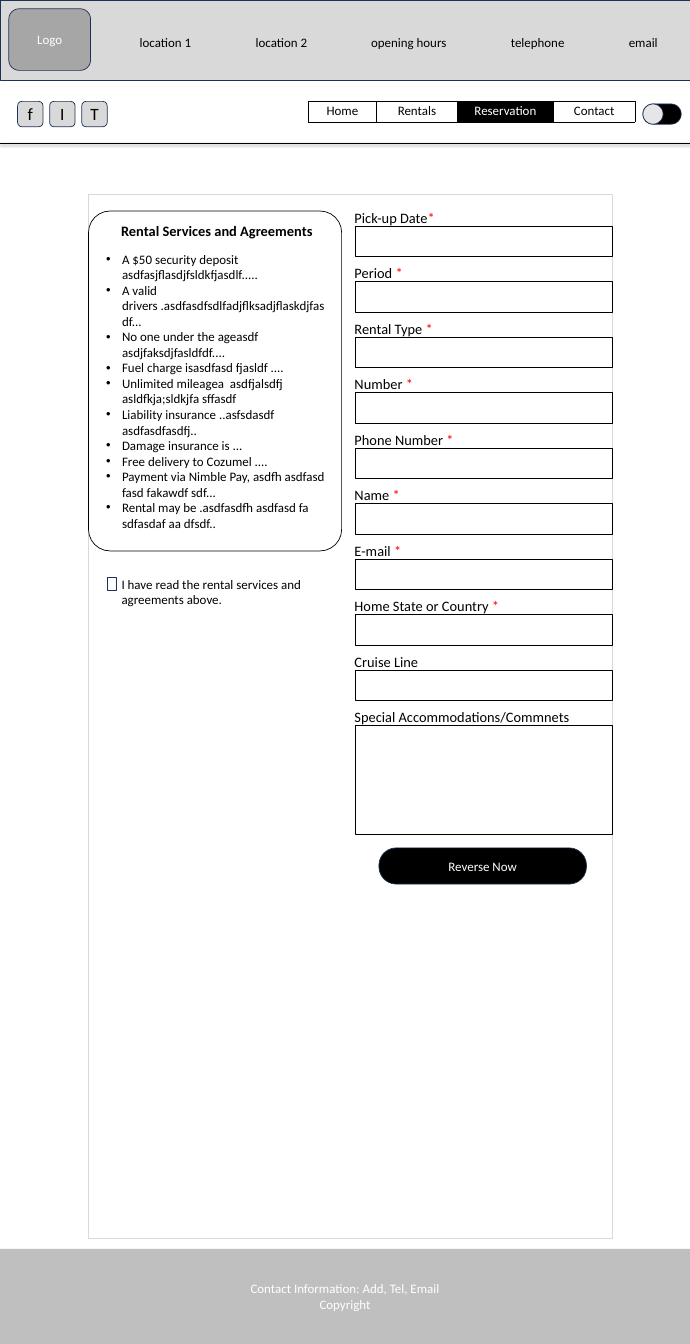
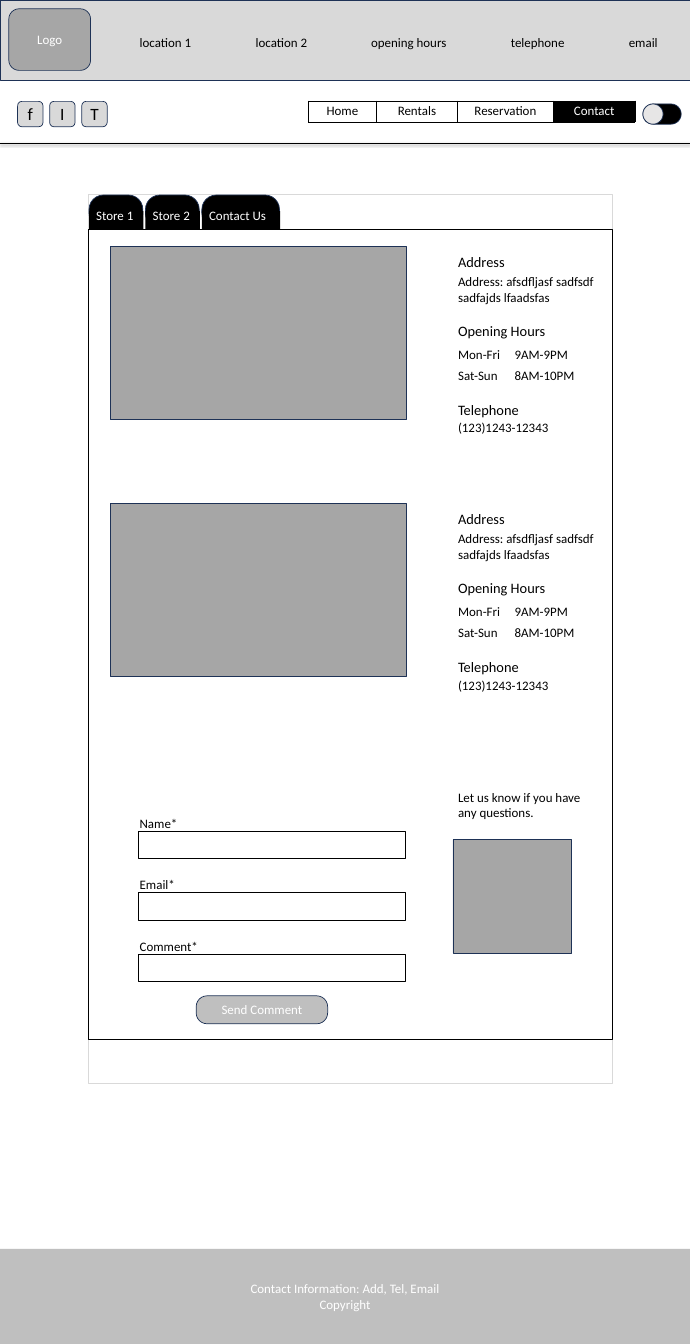
from dataclasses import dataclass

from lxml import etree
from pptx import Presentation
from pptx.dml.color import RGBColor
from pptx.enum import shapes, text
from pptx.oxml import parse_xml
from pptx.oxml.ns import nsdecls, qn
from pptx import util as u


@dataclass(frozen=True)
class Theme:
    font: str = "Calibri"
    body: int = 18
    heading: int = 20
    icon: int = 24
    ink: str = "000000"
    paper: str = "FFFFFF"
    outline: str = "1E3256"
    band: str = "D9D9D9"
    image: str = "A6A6A6"
    muted: str = "BFBFBF"
    knob: str = "E7E6E6"
    required: str = "FF0000"


@dataclass(frozen=True)
class Box:
    col: float
    row: float
    cols: float
    rows: float

    def inset(self, col, row, cols, rows):
        return Box(self.col + col, self.row + row, cols, rows)

    def place(self):
        return [u.Emu(round(n * CELL)) for n in (self.col, self.row, self.cols, self.rows)]


THEME = Theme()
CELL = u.Inches(0.1)
PAGE = Box(0, 0, 133.3, 259.8)
RECT = shapes.MSO_SHAPE.RECTANGLE
ROUND = shapes.MSO_SHAPE.ROUNDED_RECTANGLE
OVAL = shapes.MSO_SHAPE.OVAL
CENTER = text.PP_ALIGN.CENTER
LEFT = text.PP_ALIGN.LEFT

HEADER_ITEMS = [("location 1", 26, 12.1), ("location 2", 48.4, 12.1), ("opening hours", 70.7, 16.8),
                ("telephone", 97.7, 12.5), ("email", 120.5, 7.7)]
MENU = {"Home": 13.1, "Rentals": 15.7, "Reservation": 18.5, "Contact": 15.8}
AGREEMENTS = [
    "A $50 security deposit asdfasjflasdjfsldkfjasdlf.....",
    "A valid drivers .asdfasdfsdlfadjflksadjflaskdjfasdf...",
    "No one under the ageasdf asdjfaksdjfasldfdf....",
    "Fuel charge isasdfasd fjasldf ....",
    "Unlimited mileagea  asdfjalsdfj asldfkja;sldkjfa sffasdf",
    "Liability insurance ..asfsdasdf asdfasdfasdfj..",
    "Damage insurance is ...",
    "Free delivery to Cozumel ....",
    "Payment via Nimble Pay, asdfh asdfasd fasd fakawdf sdf...",
    "Rental may be .asdfasdfh asdfasd fa sdfasdaf aa dfsdf..",
]
BOOKING_FIELDS = [("Pick-up Date", "*", 17.7), ("Period", " *", 11.4), ("Rental Type", " *", 17.3),
                  ("Number", " *", 13.4), ("Phone Number", " *", 21.3), ("Name", " *", 10.9),
                  ("E-mail", " *", 11.1), ("Home State or Country", " *", 30.2),
                  ("Cruise Line", "", 14.4), ("Special Accommodations/Commnets", "", 44)]
HOURS = [("Mon-Fri", "9AM-9PM"), ("Sat-Sun", "8AM-10PM")]
TABS = [("Store 1", 10.4), ("Store 2", 10.4), ("Contact Us", 15)]
CONTACT_FIELDS = [("Name*", 9.4), ("Email*", 8.9), ("Comment*", 13.4)]


def rgb(color):
    return RGBColor.from_string(color)


def write(frame, paragraphs, size=THEME.body, color=THEME.ink, bold=False, align=LEFT, bullet=False):
    for index, content in enumerate(paragraphs):
        paragraph = frame.paragraphs[0] if index == 0 else frame.add_paragraph()
        paragraph.alignment = align
        for words, tint in [(content, color)] if isinstance(content, str) else content:
            run = paragraph.add_run()
            run.text = words
            run.font.name = THEME.font
            run.font.size = u.Pt(size)
            run.font.bold = bold
            run.font.color.rgb = rgb(tint)
        if bullet:
            properties = paragraph._p.get_or_add_pPr()
            properties.set("marL", str(u.Inches(0.31)))
            properties.set("indent", str(-u.Inches(0.31)))
            etree.SubElement(properties, qn("a:buFont"), typeface="Arial")
            etree.SubElement(properties, qn("a:buChar"), char="•")


def label(page, box, *paragraphs, wrap=False, **style):
    frame = page.add_textbox(*box.place()).text_frame
    frame.word_wrap = wrap
    frame.auto_size = text.MSO_AUTO_SIZE.SHAPE_TO_FIT_TEXT
    write(frame, paragraphs, **style)


def block(page, box, *paragraphs, kind=RECT, fill=None, line=THEME.outline, corner=None, **style):
    drawn = page.add_shape(kind, *box.place())
    drawn.shadow.inherit = False
    if corner is not None:
        drawn.adjustments[0] = corner
    if fill:
        drawn.fill.solid()
        drawn.fill.fore_color.rgb = rgb(fill)
    else:
        drawn.fill.background()
    if line:
        drawn.line.color.rgb = rgb(line)
        drawn.line.width = u.Pt(1)
    else:
        drawn.line.fill.background()
    write(drawn.text_frame, paragraphs, align=CENTER, **style)


def grid(page, box, widths, rows, **style):
    table = page.add_table(len(rows), len(widths), *box.place()).table
    table.first_row = table.horz_banding = False
    for column, width in zip(table.columns, widths):
        column.width = u.Emu(round(width * CELL))
    for row, contents in zip(table.rows, rows):
        row.height = u.Emu(round(box.rows / len(rows) * CELL))
        for cell, content in zip(row.cells, contents):
            cell.fill.background()
            write(cell.text_frame, [content], **style)
    return table


def outline_cell(cell):
    properties = cell._tc.get_or_add_tcPr()
    for index, side in enumerate(("lnL", "lnR", "lnT", "lnB")):
        properties.insert(index, parse_xml(
            f'<a:{side} {nsdecls("a")} w="12700"><a:solidFill>'
            f'<a:srgbClr val="{THEME.ink}"/></a:solidFill></a:{side}>'))


def header(page, box):
    block(page, box, fill=THEME.band)
    for words, col, cols in HEADER_ITEMS:
        label(page, box.inset(col, 6.1, cols, 4), words)
    block(page, box.inset(1.7, 1.7, 15.8, 11.9), "Logo", kind=ROUND, fill=THEME.image, color=THEME.paper)


def menu(page, box, current):
    entries = [[(words, THEME.paper if words == current else THEME.ink)] for words in MENU]
    table = grid(page, box, MENU.values(), [entries], align=CENTER)
    for cell, words in zip(table.rows[0].cells, MENU):
        cell.fill.solid()
        cell.fill.fore_color.rgb = rgb(THEME.ink if words == current else THEME.paper)
        outline_cell(cell)


def toolbar(page, box, current):
    menu(page, box.inset(59.6, 3.9, 63.1, 4.1), current)
    toggle = page.add_group_shape().shapes
    block(toggle, box.inset(124.2, 4.5, 7.4, 3.9), kind=ROUND, corner=0.5, fill=THEME.ink)
    block(toggle, box.inset(124.2, 4.5, 3.9, 3.9), kind=OVAL, fill=THEME.knob)
    social = page.add_group_shape().shapes
    for index, letter in enumerate("fIT"):
        block(social, box.inset(3.4 + 6.2 * index, 4, 4.9, 4.9), letter,
              kind=ROUND, fill=THEME.band, size=THEME.icon)
    left, top, width, height = box.place()
    rule = page.add_connector(shapes.MSO_CONNECTOR.STRAIGHT, left, top + height, left + width, top + height)
    rule.line.color.rgb = rgb(THEME.ink)
    rule.line.width = u.Pt(0.5)
    rule._element.spPr.append(parse_xml(
        f'<a:effectLst {nsdecls("a")}><a:outerShdw blurRad="50800" dist="38100" dir="5400000" algn="t" '
        f'rotWithShape="0"><a:srgbClr val="{THEME.ink}"><a:alpha val="40000"/></a:srgbClr>'
        '</a:outerShdw></a:effectLst>'))


def web_page(deck, current, content_rows):
    page = deck.slides.add_slide(deck.slide_layouts[6]).shapes
    toolbar(page, PAGE.inset(0, 15.6, PAGE.cols, 12), current)
    header(page, PAGE.inset(0, 0, PAGE.cols, 15.6))
    block(page, PAGE.inset(0, 241.4, PAGE.cols, 18.4), "Contact Information: Add, Tel, Email", "Copyright",
          fill=THEME.muted, line=None, color=THEME.paper)
    content = PAGE.inset(17.1, 37.5, 101.2, content_rows)
    block(page, content, line=THEME.band)
    return page, content


def agreements(page, box):
    block(page, box, kind=ROUND, corner=0.085, line=THEME.ink)
    label(page, box.inset(5.3, 1.7, 39.4, 4.4), "Rental Services and Agreements", size=THEME.heading, bold=True)
    label(page, box.inset(2.4, 7.3, 44.6, 52.5), *AGREEMENTS, wrap=True, bullet=True)


def consent(page, box):
    choice = page.add_group_shape().shapes
    label(choice, box.inset(1.8, 0, 43.4, 7.1), "I have read the rental services and agreements above.", wrap=True)
    block(choice, box.inset(0, 0.8, 1.8, 2.4), fill=THEME.paper)


def booking_form(page, box):
    for index, (words, mark, cols) in enumerate(BOOKING_FIELDS):
        field = box.inset(0, 10.73 * index, box.cols, 10.73)
        rows = 21 if index == len(BOOKING_FIELDS) - 1 else 5.9
        block(page, field.inset(1.1, 3.8, 49.7, rows), fill=THEME.paper, line=THEME.ink)
        runs = [(words, THEME.ink)] + ([(mark, THEME.required)] if mark else [])
        label(page, field.inset(0, 0, cols, 4.4), runs, size=THEME.heading)
    block(page, box.inset(5.7, 124, 40.1, 7), "Reverse Now", kind=ROUND, corner=0.478,
          fill=THEME.ink, color=THEME.paper)


def tabs(page, box):
    col = 0.1
    for words, cols in TABS:
        tab = page.add_group_shape().shapes
        block(tab, box.inset(col, 0.2, cols, 6.3), kind=ROUND, corner=0.442, fill=THEME.ink)
        block(tab, box.inset(col, 3.3, cols + 0.1, 3.5), fill=THEME.ink, line=None)
        label(page, box.inset(col + 0.4, 2.1, cols - 1.2, 4), words, color=THEME.paper)
        col += cols + 0.5


def store(page, box):
    block(page, box.inset(0, 0, 57.2, 33.5), fill=THEME.image)
    facts = box.inset(66.2, 0, 28.7, box.rows)
    for words, row, cols in [("Address", 0.8, 11.2), ("Opening Hours", 14.2, 19), ("Telephone", 29.5, 13.9)]:
        label(page, facts.inset(0, row, cols, 4.4), words, size=THEME.heading)
    label(page, facts.inset(0, 4.8, 28.7, 7.1), "Address: afsdfljasf sadfsdf", "sadfajds lfaadsfas", wrap=True)
    grid(page, facts.inset(0, 19, 27.3, 8.1), [10.9, 16.4], HOURS)
    label(page, facts.inset(0, 33.1, 19.7, 4), "(123)1243-12343")


def contact_form(page, box):
    for index, (words, cols) in enumerate(CONTACT_FIELDS):
        field = box.inset(0, 11.85 * index, box.cols, 11.85)
        label(page, field.inset(0, 0, cols, 4), words)
        block(page, field.inset(0.8, 3.5, 51.5, 5.3), line=THEME.ink)
    block(page, box.inset(11.9, 35.3, 25.4, 5.4), "Send Comment", kind=ROUND, corner=0.389,
          fill=THEME.muted, color=THEME.paper)
    label(page, box.inset(61.5, -5.1, 27.3, 7.1), "Let us know if you have any questions.", wrap=True)
    block(page, box.inset(61.5, 5.1, 22.8, 21.9), fill=THEME.image)


def reservation_page(deck):
    page, content = web_page(deck, "Reservation", 201.9)
    agreements(page, content.inset(0, 3.3, 48.9, 65.7))
    consent(page, content.inset(3.6, 73.4, 45.2, 7.1))
    booking_form(page, content.inset(50.4, 2.4, 50.8, 131))


def contact_page(deck):
    page, content = web_page(deck, "Contact", 172)
    block(page, content.inset(0, 6.9, content.cols, 156.5), line=THEME.ink)
    tabs(page, content.inset(0, 0, content.cols, 6.9))
    for index in range(2):
        store(page, content.inset(4.2, 10.1 + 49.7 * index, 94.9, 37.1))
    contact_form(page, content.inset(8.9, 119.7, 88.8, 40.7))


deck = Presentation()
_, _, deck.slide_width, deck.slide_height = PAGE.place()
reservation_page(deck)
contact_page(deck)
deck.save("out.pptx")
